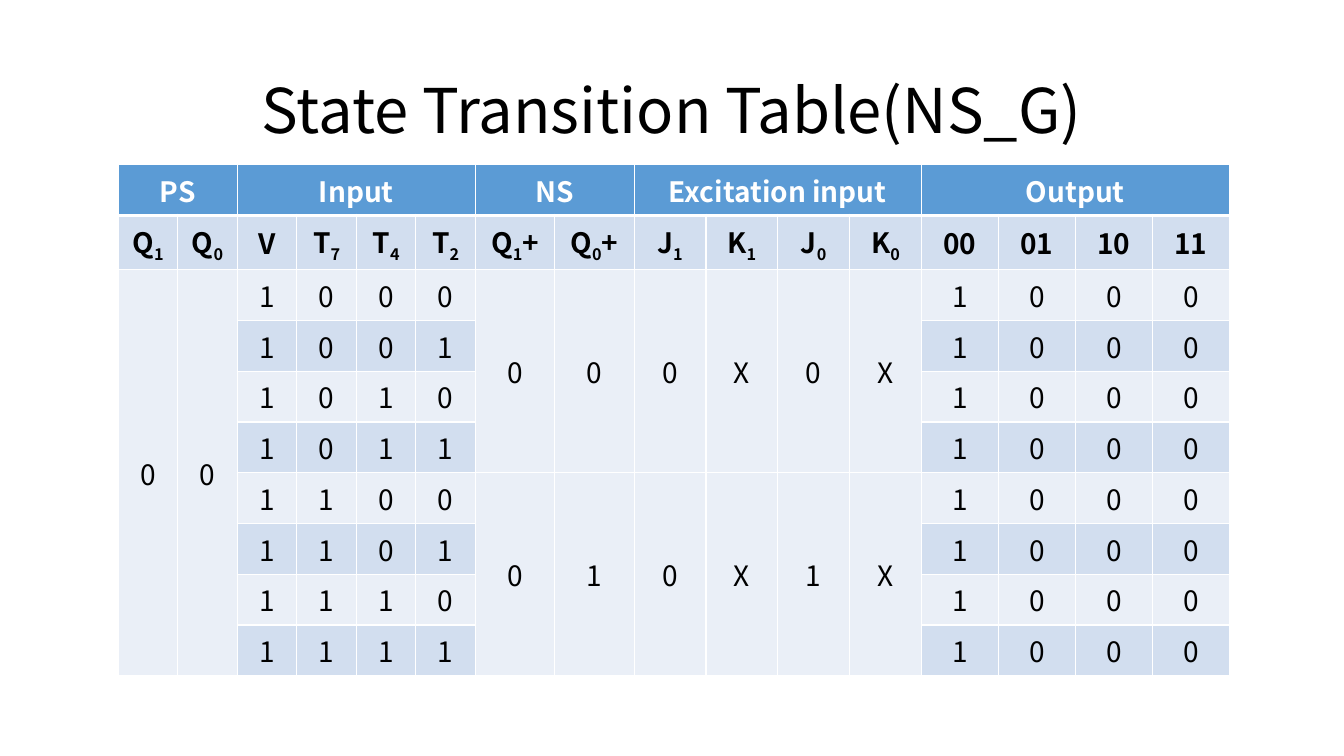
from itertools import product
from lxml.etree import SubElement
from pptx import Presentation
from pptx.dml.color import RGBColor as RGB
from pptx.enum.text import MSO_ANCHOR as Anchor, PP_ALIGN as Align
from pptx.oxml.ns import qn
from pptx.util import Cm, Pt

COLORS = {"head": "5B9BD5", "dark": "D2DEEF", "light": "EAEFF7",
          "white": "FFFFFF", "black": "000000"}
GROUPS = [("PS", 2), ("Input", 4), ("NS", 2), ("Excitation input", 4), ("Output", 4)]
NAMES = "Q_1 Q_0 V T_7 T_4 T_2 Q_1+ Q_0+ J_1 K_1 J_0 K_0 00 01 10 11".split()
WIDTHS = [1.5] * 6 + [2] * 2 + [1.81] * 4 + [1.94] * 4
BLOCKS = {2: "000X0X", 6: "010X1X"}


class Deck:
    """Hold the style and the current slide, and draw its elements."""

    def __init__(self, font):
        self.font = font
        self.prs = Presentation()
        self.prs.slide_width, self.prs.slide_height = Cm(33.87), Cm(19.05)
        self.slide = self.prs.slides.add_slide(self.prs.slide_layouts[5])

    def style(self, para, size, color, bold=False):
        para.alignment = Align.CENTER
        font = para.font
        font.name, font.size, font.bold = self.font, Pt(size), bold
        font.color.rgb = RGB.from_string(COLORS[color])

    def title(self, text, left, top, width, height):
        box = self.slide.shapes.title
        box.left, box.top, box.width, box.height = map(Cm, (left, top, width, height))
        frame = box.text_frame
        frame.text = text
        frame.vertical_anchor = Anchor.MIDDLE
        para = frame.paragraphs[0]
        para.line_spacing = 0.9
        self.style(para, 44, "black")

    def table(self, rows, widths, left, top, step):
        frame = self.slide.shapes.add_table(
            rows, len(widths), Cm(left), Cm(top), Cm(sum(widths)), Cm(step * rows))
        grid = frame.table
        for col, width in zip(grid.columns, widths):
            col.width = Cm(width)
        for i, row in enumerate(grid.rows):
            row.height = Cm(step)
            fill = "head" if i == 0 else "dark" if i % 2 else "light"
            for cell in row.cells:
                self.paint(cell, fill, 3 if i == 0 else 1)
        return grid

    def paint(self, cell, fill, base):
        props = cell._tc.get_or_add_tcPr()
        for side, width in zip("LRTB", (1, 1, 1, base)):
            line = SubElement(props, qn("a:ln" + side), w=str(int(Pt(width))))
            solid = SubElement(line, qn("a:solidFill"))
            SubElement(solid, qn("a:srgbClr"), val=COLORS["white"])
        cell.fill.solid()
        cell.fill.fore_color.rgb = RGB.from_string(COLORS[fill])
        cell.vertical_anchor = Anchor.MIDDLE

    def label(self, cell, text, color="black", bold=False):
        para = cell.text_frame.paragraphs[0]
        self.style(para, 20, color, bold)
        main, mark, rest = text.partition("_")
        para.add_run().text = main
        if mark:
            sub = para.add_run()
            sub.text = rest[0]
            sub.font._element.set("baseline", "-25000")
            if rest[1:]:
                para.add_run().text = rest[1:]

    def span(self, grid, row, col, high, wide, text, **look):
        cell = grid.cell(row, col)
        cell.merge(grid.cell(row + high - 1, col + wide - 1))
        self.label(cell, text, **look)


def main():
    deck = Deck("Noto Sans CJK KR")
    deck.title("State Transition Table(NS_G)", 2.33, 1.01, 29.21, 3.68)
    grid = deck.table(10, WIDTHS, 2.98, 4.15, 1.23)
    col = 0
    for name, wide in GROUPS:
        deck.span(grid, 0, col, 1, wide, name, color="white", bold=True)
        col += wide
    for col, name in enumerate(NAMES):
        deck.label(grid.cell(1, col), name, bold=True)
    for col in range(2):
        deck.span(grid, 2, col, 8, 1, "0")
    for row, marks in BLOCKS.items():
        for col, mark in enumerate(marks, 6):
            deck.span(grid, row, col, 4, 1, mark)
    for row, bits in enumerate(product("01", repeat=3), 2):
        for col, bit in enumerate(("1", *bits), 2):
            deck.label(grid.cell(row, col), bit)
        for col, bit in enumerate("1000", 12):
            deck.label(grid.cell(row, col), bit)
    deck.prs.save("out.pptx")


if __name__ == "__main__":
    main()
